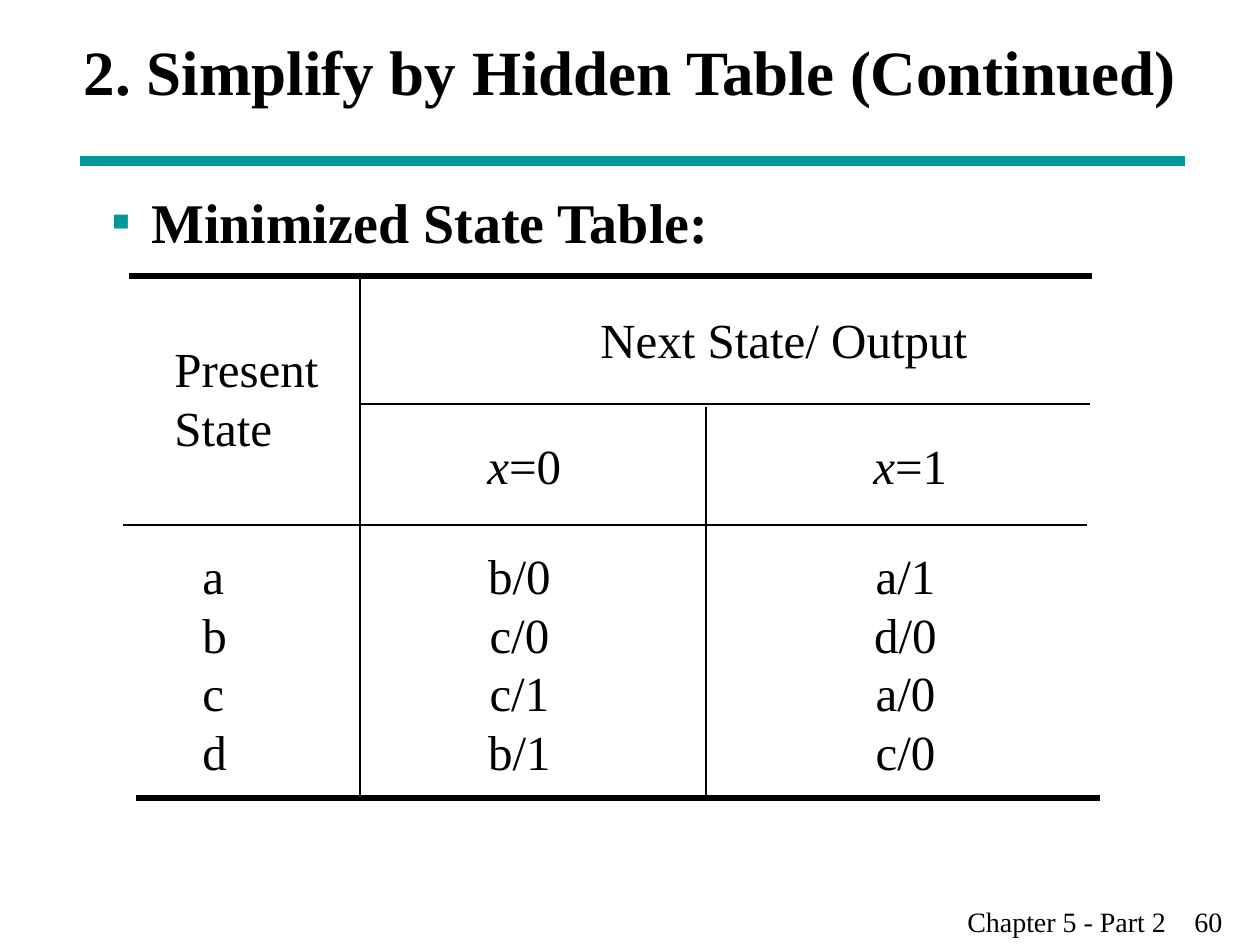
from dataclasses import dataclass

from lxml import etree
from pptx import Presentation
from pptx import util as u
from pptx.dml.color import RGBColor
from pptx.enum import shapes, text
from pptx.oxml import ns

SCALE = 914400 / 126


@dataclass(frozen=True)
class Theme:
    """Hold the colours, font and type sizes of the slide."""
    ink: str = "000000"
    accent: str = "009999"
    face: str = "Times New Roman"
    title: int = 36
    heading: int = 32
    cell: int = 28
    footer: int = 16


THEME = Theme()


def px(length):
    """Turn whole pixels into EMU."""
    return u.Emu(round(length * SCALE))


def add_rule(slide, start, end, points, colour=THEME.ink):
    """Draw one straight ruling line."""
    rule = slide.shapes.add_connector(
        shapes.MSO_CONNECTOR.STRAIGHT, *map(px, (*start, *end)))
    rule.line.width = u.Pt(points)
    rule.line.color.rgb = RGBColor.from_string(colour)
    etree.SubElement(rule._element.spPr, ns.qn("a:effectLst"))


def add_words(slide, box, lines, size, bold=False, centred=False,
              wrap=False, middle=False):
    """Place lines of (words, italic) runs and return the text frame."""
    frame = slide.shapes.add_textbox(*map(px, box)).text_frame
    frame.word_wrap = wrap
    if not wrap:
        frame.auto_size = text.MSO_AUTO_SIZE.SHAPE_TO_FIT_TEXT
    if middle:
        frame.vertical_anchor = text.MSO_ANCHOR.MIDDLE
    for index, line in enumerate(lines):
        paragraph = frame.paragraphs[0] if index == 0 else frame.add_paragraph()
        if centred:
            paragraph.alignment = text.PP_ALIGN.CENTER
        for words, italic in line:
            run = paragraph.add_run()
            run.text = words
            looks = {"name": THEME.face, "size": u.Pt(size),
                     "bold": bold, "italic": italic}
            for key, value in looks.items():
                setattr(run.font, key, value)
            run.font.color.rgb = RGBColor.from_string(THEME.ink)
    return frame


def plain(*lines):
    """Make each string a line of one upright run."""
    return [[(line, False)] for line in lines]


def add_bullet(paragraph, indent):
    """Give a paragraph a square accent bullet with a hanging indent."""
    props = paragraph._p.get_or_add_pPr()
    props.set("marL", str(px(indent)))
    props.set("indent", str(-px(indent)))
    colour = etree.SubElement(props, ns.qn("a:buClr"))
    etree.SubElement(colour, ns.qn("a:srgbClr"), val=THEME.accent)
    etree.SubElement(props, ns.qn("a:buFont"), typeface=THEME.face)
    etree.SubElement(props, ns.qn("a:buChar"), char="▪")


def add_tab(paragraph, position):
    """Set one left tab stop."""
    stops = etree.SubElement(paragraph._p.get_or_add_pPr(), ns.qn("a:tabLst"))
    etree.SubElement(stops, ns.qn("a:tab"), pos=str(px(position)), algn="l")


def add_state_table(slide):
    """Draw the ruled state table with its headings and columns."""
    rules = [
        ((129, 276), (1092, 276), 3),
        ((136, 798), (1100, 798), 3),
        ((360, 276), (360, 800), 1.5),
        ((706, 407), (706, 798), 1.5),
        ((360, 404), (1090, 404), 1),
        ((123, 525), (1087, 525), 1),
    ]
    for rule in rules:
        add_rule(slide, *rule)

    add_words(slide, (162, 332, 175, 131), plain("Present State"),
              THEME.cell, wrap=True)
    add_words(slide, (588, 303, 392, 72), plain("Next State/ Output"), THEME.cell)
    add_words(slide, (190, 539, 49, 248), plain("a", "b", "c", "d"), THEME.cell)

    next_states = [
        (475, "=0", ("b/0", "c/0", "c/1", "b/1")),
        (861, "=1", ("a/1", "d/0", "a/0", "c/0")),
    ]
    for left, value, states in next_states:
        add_words(slide, (left, 429, 100, 72),
                  [[("x", True), (value, False)]], THEME.cell)
        add_words(slide, (left, 539, 89, 248), plain(*states),
                  THEME.cell, centred=True)


def main():
    """Build and save the slide."""
    deck = Presentation()
    deck.slide_width, deck.slide_height = px(1260), px(945)
    slide = deck.slides.add_slide(deck.slide_layouts[6])

    add_rule(slide, (80, 161), (1185, 161), 6, THEME.accent)
    add_words(slide, (0, 0, 1260, 141),
              plain("2. Simplify by Hidden Table (Continued)"),
              THEME.title, bold=True, centred=True, wrap=True, middle=True)
    heading = add_words(slide, (99, 181, 1071, 693),
                        plain("Minimized State Table:"),
                        THEME.heading, bold=True, wrap=True)
    add_bullet(heading.paragraphs[0], 40)
    add_state_table(slide)
    footer = add_words(slide, (955, 898, 305, 47),
                       plain("Chapter 5 - Part 2\t60"), THEME.footer, wrap=True)
    add_tab(footer.paragraphs[0], 227)
    deck.save("out.pptx")


if __name__ == "__main__":
    main()
